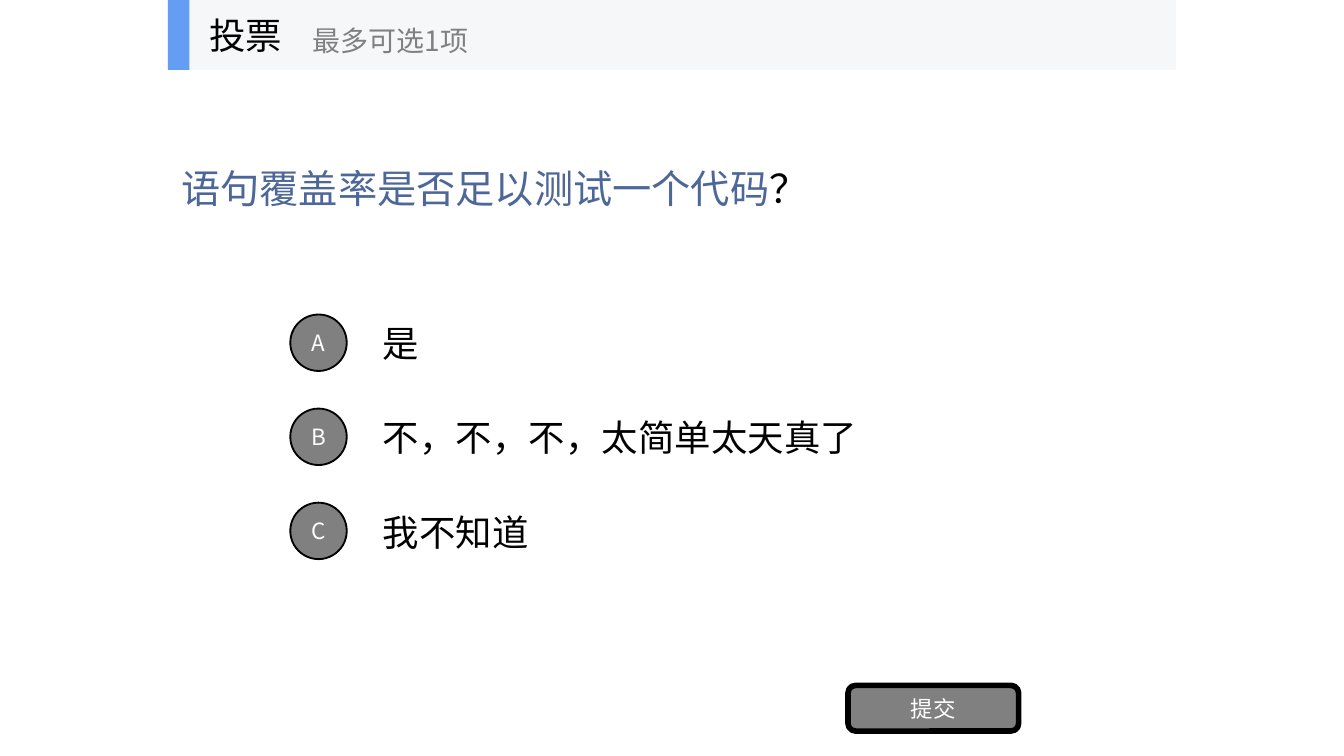
from lxml import etree
from pptx import Presentation, util as u
from pptx.dml.color import RGBColor
from pptx.enum import shapes, text
from pptx.oxml.ns import qn

COLORS = {
    "question": "4D6798", "black": "000000", "white": "FFFFFF",
    "gray": "808080", "band": "F6F7F8", "accent": "639EF4",
}
FONT = "Noto Sans CJK SC"
OPTIONS = ["是", "不，不，不，太简单太天真了", "我不知道"]
OPTION_TOP, OPTION_PITCH = 2.29, 0.7


def color(name):
    return RGBColor.from_string(COLORS[name])


def set_text(shape, runs, size, align=text.PP_ALIGN.LEFT, inset=0.1, font=FONT):
    """Write one paragraph from (wording, colour name) pairs."""
    frame = shape.text_frame
    frame_format = {
        "word_wrap": True,
        "vertical_anchor": text.MSO_ANCHOR.MIDDLE,
        "margin_left": u.Inches(inset),
        "margin_right": u.Inches(inset),
        "margin_top": 0,
        "margin_bottom": 0,
    }
    for name, value in frame_format.items():
        setattr(frame, name, value)
    paragraph = frame.paragraphs[0]
    paragraph.alignment = align
    for wording, color_name in runs:
        run = paragraph.add_run()
        run.text = wording
        for name, value in {"name": font, "size": u.Pt(size)}.items():
            setattr(run.font, name, value)
        run.font.color.rgb = color(color_name)
        # East Asian typeface
        east_asian = etree.SubElement(run.font._element, qn("a:ea"))
        east_asian.set("typeface", FONT)


def add_label(parent, box, runs, size, font=FONT):
    label = parent.add_textbox(*map(u.Inches, box))
    set_text(label, runs, size, font=font)


def add_block(parent, kind, box, fill, line_width=0):
    block = parent.add_shape(kind, *map(u.Inches, box))
    block.shadow.inherit = False
    block.fill.solid()
    block.fill.fore_color.rgb = color(fill)
    if line_width:
        block.line.color.rgb = color("black")
        block.line.width = u.Pt(line_width)
    else:
        block.line.fill.background()
    return block


def add_button(parent, kind, box, wording, line_width):
    button = add_block(parent, kind, box, "gray", line_width)
    set_text(button, [(wording, "white")], 12, text.PP_ALIGN.CENTER, inset=0)


def add_header(slide):
    header = slide.shapes.add_group_shape().shapes
    rectangle = shapes.MSO_SHAPE.RECTANGLE
    add_block(header, rectangle, (1.25, 0, 7.5, 0.52), "band")
    add_block(header, rectangle, (1.25, 0, 0.16, 0.52), "accent")
    add_label(header, (1.46, 0, 1.56, 0.52), [("投票", "black")], 19.5)
    add_label(header, (2.23, 0.09, 1.88, 0.42), [("最多可选1项", "gray")], 15)


def main():
    # Widescreen page, 16:9
    presentation = Presentation()
    presentation.slide_width = u.Inches(10)
    presentation.slide_height = u.Inches(10 * 9 / 16)
    slide = presentation.slides.add_slide(presentation.slide_layouts[6])

    # Question
    question = [("语句覆盖率是否足以测试一个代码", "question"), ("？", "black")]
    add_label(slide.shapes, (1.25, 0.52, 6.75, 1.76), question, 21, "Arial")

    # Answer options
    tops = [OPTION_TOP + index * OPTION_PITCH for index in range(len(OPTIONS))]
    for top, option in zip(tops, OPTIONS):
        add_label(slide.shapes, (2.75, top, 5.25, 0.53), [(option, "black")], 19.5)

    # Lettered circles
    for top, letter in zip(tops, "ABC"):
        add_button(slide.shapes, shapes.MSO_SHAPE.OVAL,
                   (2.16, top + 0.05, 0.42, 0.42), letter, 1)

    # Submit button
    add_button(slide.shapes, shapes.MSO_SHAPE.ROUNDED_RECTANGLE,
               (6.31, 5.1, 1.27, 0.34), "提交", 3)

    # Header bar
    add_header(slide)

    presentation.save("out.pptx")


if __name__ == "__main__":
    main()
